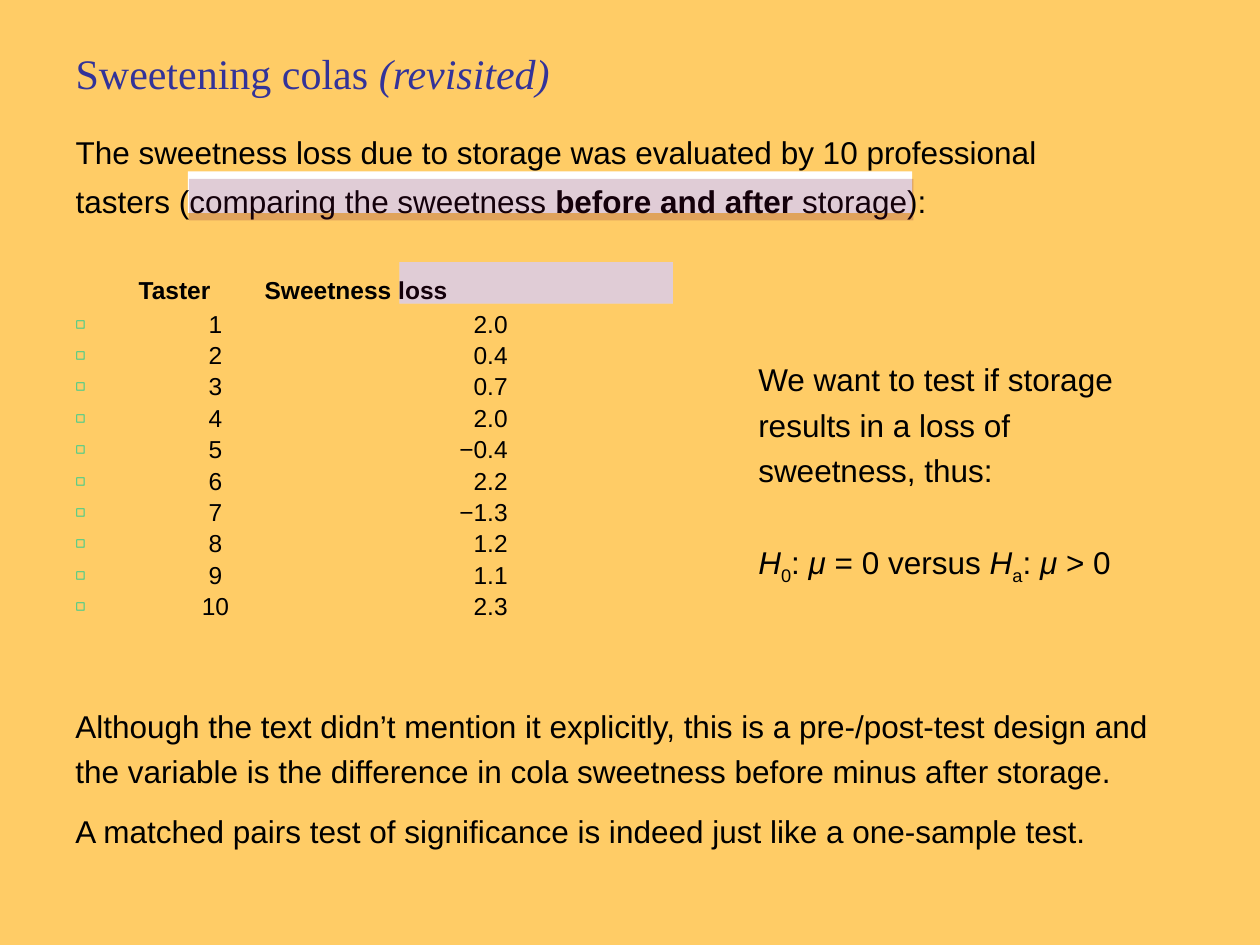
from dataclasses import dataclass

from lxml import etree
from pptx import Presentation
from pptx import util as u
from pptx.dml.color import RGBColor
from pptx.enum import shapes, text
from pptx.oxml.ns import qn

COLORS = {
    "background": "FFCC66",
    "heading": "333399",
    "ink": "000000",
    "bullet": "00CC99",
    "mask": "FFFFFF",
    "highlight": "660033",
}


@dataclass
class Band:
    left: float
    top: float
    width: float
    color: str
    opacity: int = 100


@dataclass
class Rating:
    taster: int
    loss: str


LOSSES = ["2.0", "0.4", "0.7", "2.0", "−0.4", "2.2", "−1.3", "1.2", "1.1", "2.3"]
RATINGS = [Rating(taster, loss) for taster, loss in enumerate(LOSSES, 1)]
MASKS = [Band(3.17, 2.08, 2.17, "mask"), Band(1.49, 1.36, 5.75, "mask")]
HIGHLIGHTS = [
    Band(3.17, 2.08, 2.17, "highlight", 20),
    Band(1.5, 1.42, 5.75, "highlight", 20),
]
HEADER_TABS = [(1.0, "l"), (3.0, "l")]
RATING_TABS = [(1.11, "ctr"), (3.43, "r")]


def add_node(parent, tag: str, **attributes):
    return etree.SubElement(parent, qn(tag), attributes)


def draw_band(slide, band: Band) -> None:
    rect = slide.shapes.add_shape(
        shapes.MSO_SHAPE.RECTANGLE, u.Inches(band.left), u.Inches(band.top),
        u.Inches(band.width), u.Inches(0.33))
    rect.shadow.inherit = False
    rect.line.fill.background()
    rect.fill.solid()
    rect.fill.fore_color.rgb = RGBColor.from_string(COLORS[band.color])
    if band.opacity < 100:
        color = rect._element.spPr.find(qn("a:solidFill"))[0]
        add_node(color, "a:alpha", val=str(band.opacity * 1000))


def add_run(paragraph, wording: str, size=18, font="Arial", color="ink",
            bold=False, italic=False, baseline=0) -> None:
    run = paragraph.add_run()
    run.text = wording
    run.font.size = u.Pt(size)
    run.font.name = font
    run.font.bold = bold
    run.font.italic = italic
    run.font.color.rgb = RGBColor.from_string(COLORS[color])
    if baseline:
        run.font._element.set("baseline", str(baseline * 1000))


def add_paragraph(frame, runs: list, spacing=1.0, before=0.0, after=0.0,
                  bullet=False, tabs=(), **style) -> None:
    paragraph = frame.paragraphs[0]
    if paragraph.runs:
        paragraph = frame.add_paragraph()
    paragraph.line_spacing = spacing
    paragraph.space_before = u.Pt(before)
    paragraph.space_after = u.Pt(after)
    props = paragraph._p.get_or_add_pPr()
    props.set("marL", "0")
    props.set("indent", "0")
    if bullet:
        add_node(add_node(props, "a:buClr"), "a:srgbClr", val=COLORS["bullet"])
        add_node(props, "a:buSzPct", val="65000")
        add_node(props, "a:buChar", char="◻")
    else:
        add_node(props, "a:buNone")
    if tabs:
        stops = add_node(props, "a:tabLst")
        for position, align in tabs:
            add_node(stops, "a:tab", pos=str(u.Inches(position)), algn=align)
    for wording, changes in runs:
        add_run(paragraph, wording, **{**style, **changes})


def add_text_box(slide, left: float, top: float, width: float, height: float):
    frame = slide.shapes.add_textbox(
        u.Inches(left), u.Inches(top), u.Inches(width), u.Inches(height)).text_frame
    frame.word_wrap = True
    return frame


def fill_body(frame) -> None:
    frame.auto_size = text.MSO_AUTO_SIZE.NONE
    add_paragraph(frame, [("Sweetening colas ", {}), ("(revisited)", {"italic": True})],
                  before=4.8, size=24, font="Times New Roman", color="heading")
    add_paragraph(frame, [
        ("The sweetness loss due to storage was evaluated by 10 professional "
         "tasters (comparing the sweetness ", {}),
        ("before and after", {"bold": True}),
        (" storage):", {}),
    ], spacing=1.3, before=13.5)
    add_paragraph(frame, [("\tTaster\tSweetness loss", {})], spacing=0.9,
                  before=33, after=1.5, tabs=HEADER_TABS, size=14, bold=True)
    for rating in RATINGS:
        add_paragraph(frame, [(f"\t{rating.taster}\t{rating.loss}", {})], spacing=0.9,
                      before=2.8, bullet=True, tabs=RATING_TABS, size=14)


def main() -> None:
    deck = Presentation()
    deck.slide_width, deck.slide_height = u.Inches(10), u.Inches(7.5)
    slide = deck.slides.add_slide(deck.slide_layouts[1])
    slide.background.fill.solid()
    slide.background.fill.fore_color.rgb = RGBColor.from_string(COLORS["background"])
    unused_title = slide.shapes.title._element
    unused_title.getparent().remove(unused_title)

    for mask in MASKS:
        draw_band(slide, mask)

    body = slide.placeholders[1]
    body.left, body.top = u.Inches(0.5), u.Inches(0.33)
    body.width, body.height = u.Inches(8.5), u.Inches(5.33)
    fill_body(body.text_frame)
    slide.shapes._spTree.append(body._element)

    hypotheses = add_text_box(slide, 5.92, 2.75, 3.5, 1.91)
    add_paragraph(hypotheses, [
        ("We want to test if storage results in a loss of sweetness, thus:", {}),
    ], spacing=1.2)
    italic, subscript = {"italic": True}, {"baseline": -25}
    add_paragraph(hypotheses, [
        ("H", italic), ("0", subscript), (": ", {}), ("μ", italic), (" = 0 versus ", {}),
        ("H", italic), ("a", subscript), (": ", {}), ("μ", italic), (" > 0", {}),
    ], spacing=1.2, before=26)

    for highlight in HIGHLIGHTS:
        draw_band(slide, highlight)

    conclusion = add_text_box(slide, 0.5, 5.5, 8.92, 1.32)
    add_paragraph(conclusion, [
        ("Although the text didn’t mention it explicitly, this is a pre-/post-test design "
         "and the variable is the difference in cola sweetness before minus after storage.", {}),
    ], spacing=1.2)
    add_paragraph(conclusion, [
        ("A matched pairs test of significance is indeed just like a one-sample test.", {}),
    ], spacing=1.2, before=8.1)

    deck.save("out.pptx")


if __name__ == "__main__":
    main()
